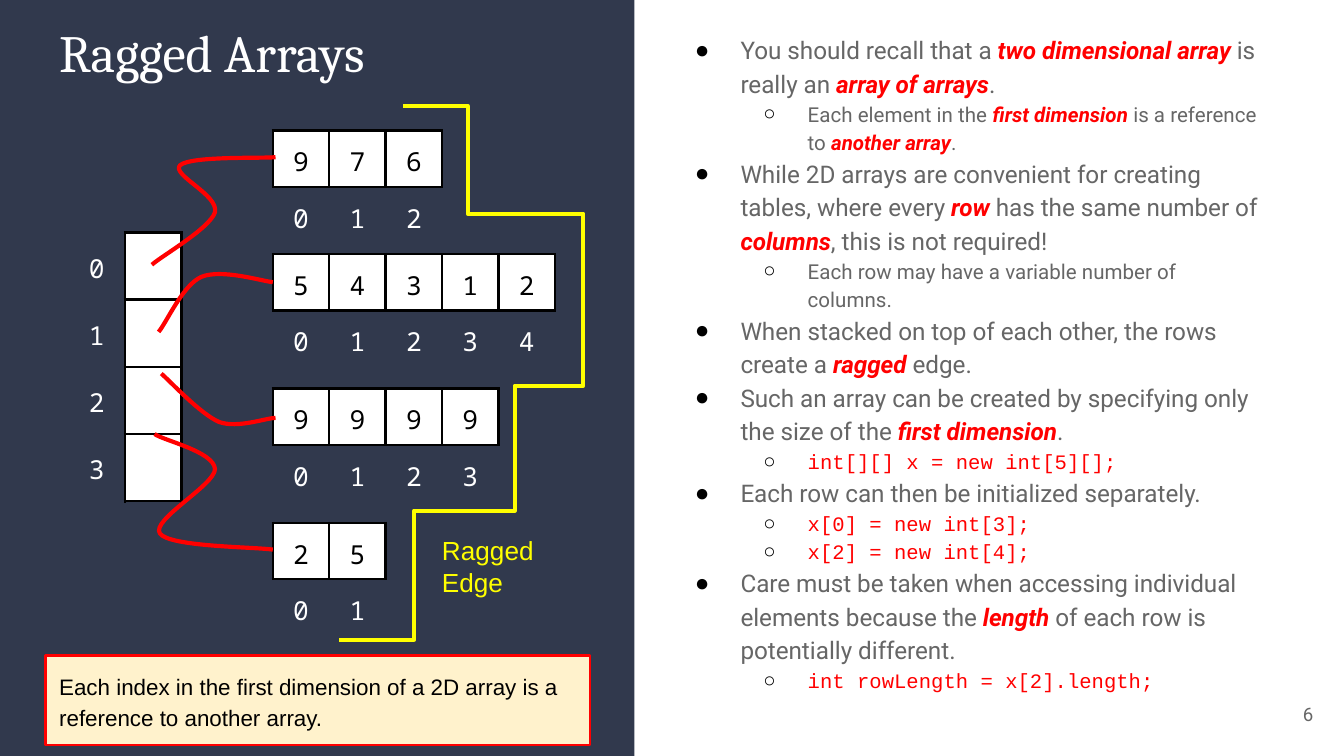
"""Build the Ragged Arrays slide."""
import pptx
import pptx.dml.color
import pptx.enum.shapes
import pptx.enum.text
import pptx.oxml
import pptx.oxml.ns
import pptx.util
from lxml import etree

Inches = pptx.util.Inches
qn = pptx.oxml.ns.qn
ALIGN = pptx.enum.text.PP_ALIGN
ANCHOR = pptx.enum.text.MSO_ANCHOR
FIT = pptx.enum.text.MSO_AUTO_SIZE

NAVY, WHITE, BLACK, GREY = "31394D", "FFFFFF", "000000", "666666"
RED, YELLOW, CREAM = "FF0000", "FFFF00", "FFF2CC"
MONO = "Noto Sans Mono"
CELL = 0.42
PAGE_WIDTH = 10
PAGE_HEIGHT = PAGE_WIDTH * 9 / 16
NO_STYLE = "{2D5ABB26-0587-4C30-8999-92F81FD0307C}"

BULLETS = [
    (0, "You should recall that a *two dimensional array* is really an *array of arrays*."),
    (1, "Each element in the *first dimension* is a reference to *another array*."),
    (0, "While 2D arrays are convenient for creating tables, where every *row *"
        "has the same number of *columns*, this is not required!"),
    (1, "Each row may have a variable number of columns."),
    (0, "When stacked on top of each other, the rows create a *ragged* edge."),
    (0, "Such an array can be created by specifying only the size of the *first dimension*."),
    ("code", "int[][] x = new int[5][];"),
    (0, "Each row can then be initialized separately."),
    ("code", "x[0] = new int[3];"),
    ("code", "x[2] = new int[4];"),
    (0, "Care must be taken when accessing individual elements because the *length* "
        "of each row is potentially different."),
    ("code", "int rowLength = x[2].length;"),
]
ARRAYS = [(0.97, "976"), (1.89, "54312"), (2.89, "9999"), (3.89, "25")]
REFERENCES = [
    [(1.13, 1.97), (1.21, 1.9), (1.56, 1.7), (1.6, 1.58), (1.63, 1.45),
     (1.27, 1.3), (1.34, 1.23), (1.42, 1.16), (1.93, 1.18), (2.05, 1.17)],
    [(1.15, 3.23), (1.22, 3.28), (1.59, 3.36), (1.6, 3.49), (1.6, 3.61),
     (1.12, 3.87), (1.19, 3.97), (1.26, 4.07), (1.89, 4.07), (2.03, 4.09)],
    [(1.18, 2.47), (1.24, 2.4), (1.36, 2.12), (1.5, 2.06), (1.65, 2),
     (1.94, 2.09), (2.03, 2.1)],
    [(1.2, 2.78), (1.27, 2.84), (1.49, 3.08), (1.63, 3.14), (1.77, 3.19),
     (1.98, 3.11), (2.05, 3.11)],
]
EDGE = [(3, 0.79), (3.48, 0.79), (3.48, 1.59), (4.34, 1.59), (4.34, 2.87),
        (3.83, 2.87), (3.83, 3.8), (3.08, 3.8), (3.08, 4.76), (2.52, 4.76)]


def rgb(color):
    """Turn a hex string into a colour."""
    return pptx.dml.color.RGBColor.from_string(color)


def add_text(para, text, font="Arial", size=14, color=BLACK, strong=False, align=ALIGN.LEFT):
    """Append a formatted run to a paragraph."""
    para.alignment = align
    span = para.add_run()
    span.text = text
    span.font.name = font
    span.font.size = pptx.util.Pt(size)
    span.font.bold = span.font.italic = strong
    span.font.color.rgb = rgb(color)


def set_frame(box, anchor=ANCHOR.TOP, fit=FIT.NONE):
    """Give a text shape its margins, wrapping and anchor, and return its frame."""
    frame = box.text_frame
    frame.margin_left = frame.margin_right = Inches(0.1)
    frame.margin_top = frame.margin_bottom = Inches(0.1)
    frame.word_wrap = True
    frame.auto_size = fit
    frame.vertical_anchor = anchor
    return frame


def place(box, left, top, width, height):
    """Move and size a shape."""
    box.left, box.top = Inches(left), Inches(top)
    box.width, box.height = Inches(width), Inches(height)


def set_list_format(para, left=0, indent=0, mark=None):
    """Set line spacing, indents and the bullet of a list paragraph."""
    para.line_spacing = 1.15
    para.space_before = pptx.util.Pt(0)
    props = para._p.get_or_add_pPr()
    props.set("marL", str(Inches(left)))
    props.set("indent", str(Inches(indent)))
    if mark is None:
        etree.SubElement(props, qn("a:buNone"))
        return
    tint = etree.SubElement(props, qn("a:buClr"))
    etree.SubElement(tint, qn("a:srgbClr"), val=BLACK)
    etree.SubElement(props, qn("a:buChar"), char=mark)


def fill_list(box):
    """Write the bulleted explanation."""
    frame = set_frame(box, fit=FIT.SHAPE_TO_FIT_TEXT)
    for number, (kind, text) in enumerate(BULLETS):
        para = frame.add_paragraph() if number else frame.paragraphs[0]
        if kind == 0:
            set_list_format(para, 0.5, -0.34, "●")
        else:
            para.level = 1
            set_list_format(para, 1, -0.33, "○")
        if kind == "code":
            add_text(para, text, font="Courier New", size=11, color=RED)
            continue
        for part, words in enumerate(text.split("*")):
            strong = part % 2 == 1
            add_text(para, words, font="Roboto", size=11 if kind else 13,
                     color=RED if strong else GREY, strong=strong)


def add_label(page, area, text, anchor=ANCHOR.TOP, fit=FIT.NONE, **style):
    """Add a text box with one paragraph."""
    box = page.shapes.add_textbox(*map(Inches, area))
    add_text(set_frame(box, anchor, fit).paragraphs[0], text, **style)


def set_cell(cell, text="", color=WHITE, fill=None, sides="", anchor=ANCHOR.MIDDLE):
    """Format one table cell with borders on the sides named by L, R, T and B."""
    cell.margin_left = cell.margin_right = cell.margin_top = Inches(0.1)
    cell.margin_bottom = Inches(0.07)
    cell.vertical_anchor = anchor
    props = cell._tc.get_or_add_tcPr()
    for side in sides:
        border = etree.SubElement(props, qn(f"a:ln{side}"), w=str(pptx.util.Pt(1.5)))
        solid = etree.SubElement(border, qn("a:solidFill"))
        etree.SubElement(solid, qn("a:srgbClr"), val=BLACK)
    if fill:
        cell.fill.solid()
        cell.fill.fore_color.rgb = rgb(fill)
    else:
        cell.fill.background()
    if text:
        add_text(cell.text_frame.paragraphs[0], text, font=MONO, color=color, align=ALIGN.CENTER)


def add_grid(page, left, top, rows, columns, row_height=CELL):
    """Add an unstyled table of equal cells."""
    area = (left, top, columns * CELL, rows * row_height)
    grid = page.shapes.add_table(rows, columns, *map(Inches, area)).table
    grid.first_row = grid.horz_banding = False
    grid._tbl.tblPr.find(qn("a:tableStyleId")).text = NO_STYLE
    return grid


def add_index(page, left, top, count):
    """Add the first dimension: numbered empty cells in a column."""
    grid = add_grid(page, left, top, count, 2, 0.5)
    for row in range(count):
        set_cell(grid.cell(row, 0), str(row), sides="R")
        set_cell(grid.cell(row, 1), fill=WHITE, sides="LRTB")


def add_array(page, left, top, values):
    """Add one array: a row of values above a row of indexes."""
    grid = add_grid(page, left, top, 2, len(values))
    for column, value in enumerate(values):
        set_cell(grid.cell(0, column), value, BLACK, WHITE, "LRTB", ANCHOR.TOP)
        set_cell(grid.cell(1, column), str(column), sides="T")


def add_outline(page, points, color, curved=False):
    """Draw an open line through points, or a Bezier curve controlled by them."""
    corners = [(Inches(x), Inches(y)) for x, y in points]
    builder = page.shapes.build_freeform(*corners[0])
    builder.add_line_segments(corners[1:], close=False)
    outline = builder.convert_to_shape()
    outline.shadow.inherit = False
    outline.fill.background()
    outline.line.color.rgb = rgb(color)
    outline.line.width = pptx.util.Pt(2.25)
    if curved:
        track = next(outline.element.iter(qn("a:path")))
        steps = track.findall(qn("a:lnTo"))
        for start in range(0, len(steps), 3):
            curve = etree.SubElement(track, qn("a:cubicBezTo"))
            for step in steps[start:start + 3]:
                curve.append(step[0])
                track.remove(step)


def add_panel(page, behind):
    """Add the dark left panel behind a given shape."""
    kind = pptx.enum.shapes.MSO_SHAPE.RECTANGLE
    panel = page.shapes.add_shape(kind, 0, 0, Inches(4.72), Inches(PAGE_HEIGHT))
    panel.shadow.inherit = False
    panel.fill.solid()
    panel.fill.fore_color.rgb = rgb(NAVY)
    panel.line.fill.background()
    behind.element.addprevious(panel.element)


def fill_caption(box):
    """Write the framed caption under the diagram."""
    box.fill.solid()
    box.fill.fore_color.rgb = rgb(CREAM)
    box.line.color.rgb = rgb(RED)
    box.line.width = pptx.util.Pt(1.5)
    para = set_frame(box, ANCHOR.MIDDLE, FIT.SHAPE_TO_FIT_TEXT).paragraphs[0]
    set_list_format(para)
    add_text(para, "Each index in the first dimension of a 2D array is a "
             "reference to another array.", size=12)


def main():
    """Build and save the deck."""
    deck = pptx.Presentation()
    deck.slide_width, deck.slide_height = Inches(PAGE_WIDTH), Inches(PAGE_HEIGHT)
    page = deck.slides.add_slide(deck.slide_layouts.get_by_name("Two Content"))
    title, body, caption = page.placeholders
    add_panel(page, title)
    place(title, 0.34, 0.05, 4.05, 0.7)
    add_text(set_frame(title).paragraphs[0], "Ragged Arrays", font="Cambria", size=28, color=WHITE)
    place(body, 4.91, 0.13, 4.56, 5.15)
    fill_list(body)
    place(caption, 0.34, 4.89, 4.05, 0.64)
    fill_caption(caption)
    add_label(page, (9.27, 5.1, 0.6, 0.43), "6", ANCHOR.MIDDLE,
              font="Roboto", size=10, color=GREY, align=ALIGN.RIGHT)
    add_index(page, 0.51, 1.73, len(ARRAYS))
    for top, values in ARRAYS:
        add_array(page, 2.03, top, values)
    for points in REFERENCES:
        add_outline(page, points, RED, curved=True)
    add_outline(page, EDGE, YELLOW)
    add_label(page, (3.19, 3.88, 1.26, 0.44), "Ragged Edge",
              fit=FIT.SHAPE_TO_FIT_TEXT, color=YELLOW)
    deck.save("out.pptx")


if __name__ == "__main__":
    main()
